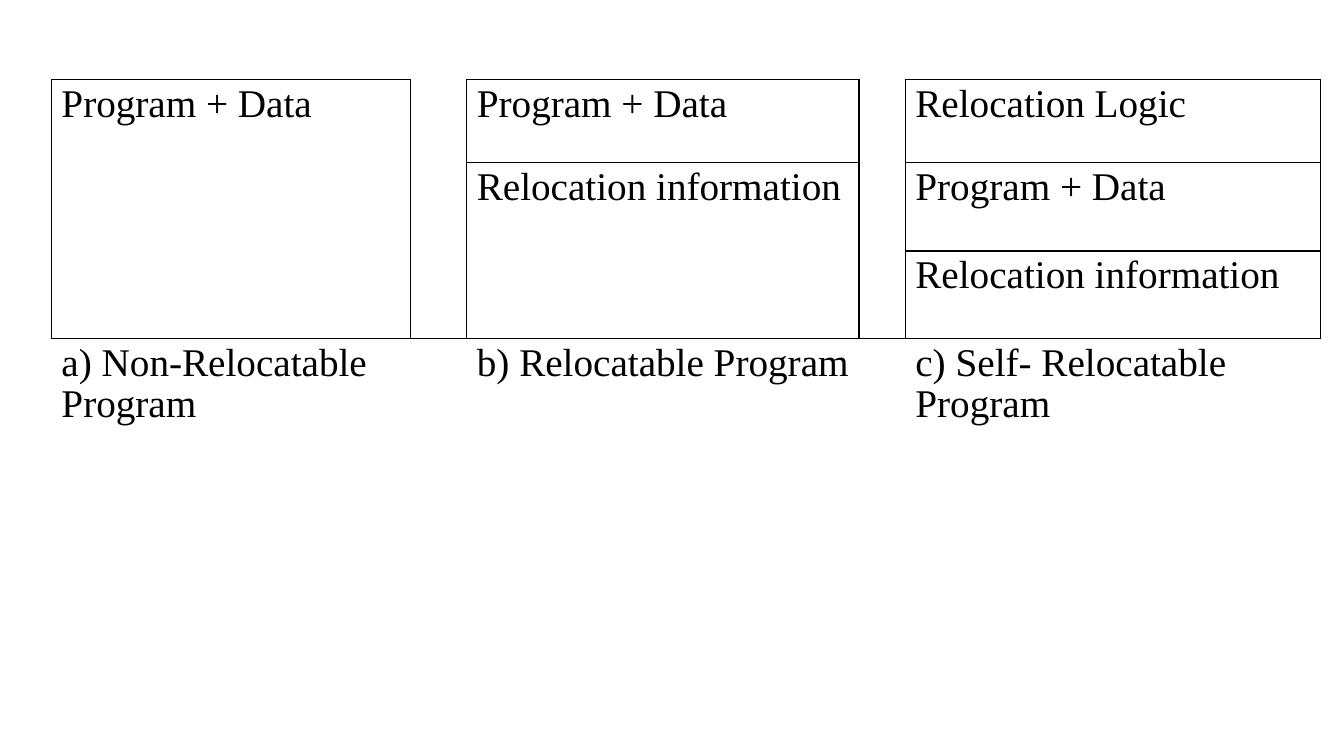
from lxml.etree import SubElement
from pptx import Presentation
from pptx.dml.color import RGBColor
from pptx.oxml.ns import qn
from pptx.util import Inches, Pt

BLACK = RGBColor(0x00, 0x00, 0x00)
COLUMN_WIDTHS = [3.56, 0.56, 3.89, 0.46, 4.12]
ROW_HEIGHTS = [0.82, 0.88, 0.87, 1.02]
CAPTION_ROW = 3
GAP_COLUMNS = (1, 3)

# (row, column, rows spanned, columns spanned, text)
BLOCKS = [
    (0, 0, 3, 1, "Program + Data"),
    (0, 1, 3, 1, ""),
    (0, 2, 1, 1, "Program + Data"),
    (1, 2, 2, 1, "Relocation information"),
    (0, 3, 1, 1, ""),
    (1, 3, 2, 1, ""),
    (0, 4, 1, 1, "Relocation Logic"),
    (1, 4, 1, 1, "Program + Data"),
    (2, 4, 1, 1, "Relocation information"),
    (3, 0, 1, 2, "a) Non-Relocatable Program"),
    (3, 2, 1, 2, "b) Relocatable Program"),
    (3, 4, 1, 1, "c) Self- Relocatable Program"),
]


def write(cell, text, size=28, font="Times New Roman", color=BLACK, spacing=0.95):
    paragraph = cell.text_frame.paragraphs[0]
    paragraph.line_spacing = spacing
    run = paragraph.add_run()
    run.text = text
    run.font.size = Pt(size)
    run.font.name = font
    run.font.color.rgb = color


def set_borders(cell, visible):
    properties = cell._tc.get_or_add_tcPr()
    for position, side in enumerate("LRTB"):
        line = properties.makeelement(qn(f"a:ln{side}"), {"w": str(Pt(1))})
        properties.insert(position, line)
        if side in visible:
            fill = SubElement(line, qn("a:solidFill"))
            SubElement(fill, qn("a:srgbClr"), val=str(BLACK))
        else:
            SubElement(line, qn("a:noFill"))


presentation = Presentation()
presentation.slide_width = Inches(13.33)
presentation.slide_height = Inches(7.5)
slide = presentation.slides.add_slide(presentation.slide_layouts[6])

# Table grid
programs = slide.shapes.add_table(
    len(ROW_HEIGHTS), len(COLUMN_WIDTHS), Inches(0.51), Inches(0.79),
    Inches(sum(COLUMN_WIDTHS)), Inches(sum(ROW_HEIGHTS))).table
programs.first_row = False
programs.horz_banding = False
for column, width in zip(programs.columns, COLUMN_WIDTHS):
    column.width = Inches(width)
for row, height in zip(programs.rows, ROW_HEIGHTS):
    row.height = Inches(height)

# Boxes are framed, gaps keep their sides, captions hang below one line
for row in range(len(ROW_HEIGHTS)):
    for column in range(len(COLUMN_WIDTHS)):
        cell = programs.cell(row, column)
        cell.fill.background()
        if row == CAPTION_ROW:
            set_borders(cell, "T")
        elif column in GAP_COLUMNS:
            set_borders(cell, "LRB" if row == CAPTION_ROW - 1 else "LR")
        else:
            set_borders(cell, "LRTB")

# Merged areas and their texts
for row, column, row_span, column_span, text in BLOCKS:
    block = programs.cell(row, column)
    if row_span > 1 or column_span > 1:
        block.merge(programs.cell(row + row_span - 1, column + column_span - 1))
    if text:
        write(block, text)

presentation.save("out.pptx")
